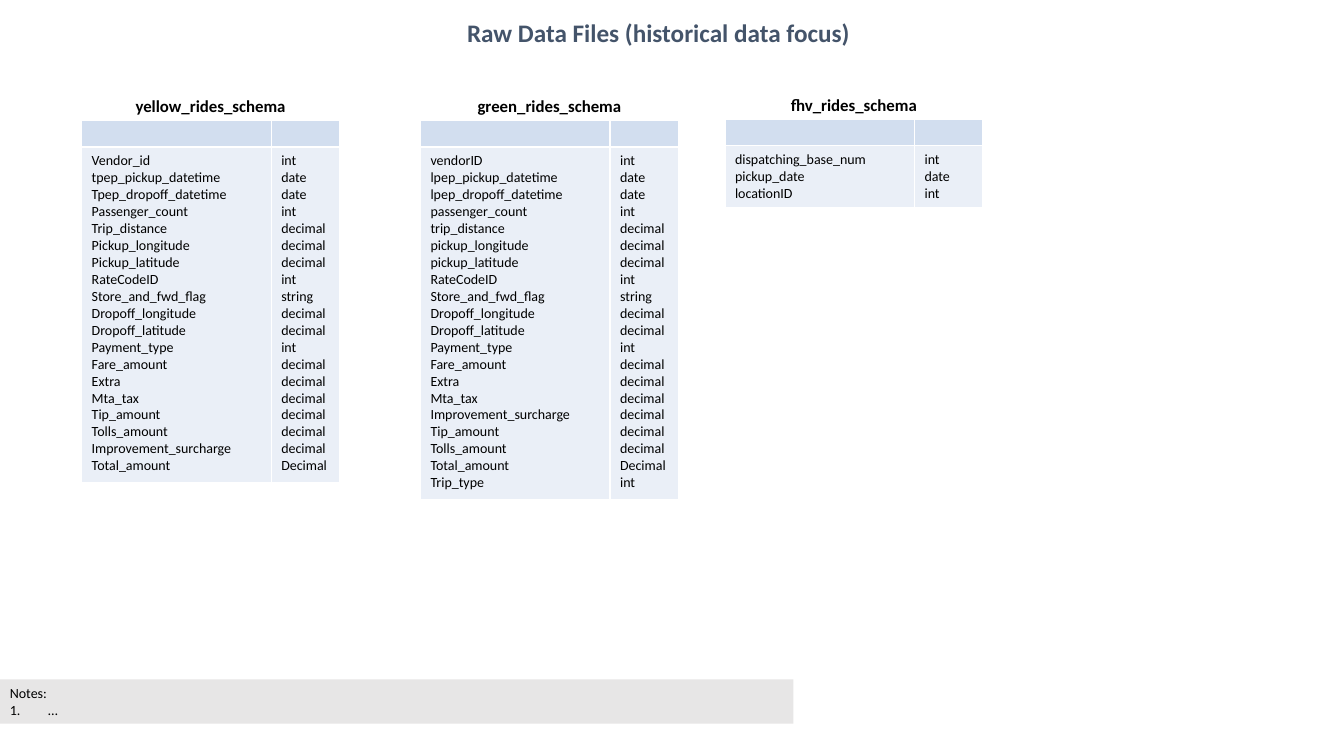
from dataclasses import dataclass

from lxml.etree import SubElement
from pptx import Presentation
from pptx.dml.color import RGBColor
from pptx.enum.shapes import MSO_SHAPE
from pptx.enum.text import MSO_ANCHOR, PP_ALIGN
from pptx.oxml import parse_xml
from pptx.oxml.ns import nsdecls, qn
from pptx.util import Inches, Pt


@dataclass(frozen=True)
class Theme:
    font: str = "Calibri"
    ink: str = "000000"
    title: str = "44546A"
    head: str = "D2DEEF"
    body: str = "EAEFF7"
    note: str = "E7E6E6"
    rule: str = "FFFFFF"
    big: int = 18
    mid: int = 12
    small: int = 10


THEME = Theme()
COLS = (1.88, 0.68)
HEAD = 0.26
LINE = 0.17
LABEL = 0.3

START = """Vendor_id int
tpep_pickup_datetime date
Tpep_dropoff_datetime date
Passenger_count int
Trip_distance decimal
Pickup_longitude decimal
Pickup_latitude decimal"""

GREEN_START = """vendorID int
lpep_pickup_datetime date
lpep_dropoff_datetime date
passenger_count int
trip_distance decimal
pickup_longitude decimal
pickup_latitude decimal"""

SHARED = """RateCodeID int
Store_and_fwd_flag string
Dropoff_longitude decimal
Dropoff_latitude decimal
Payment_type int
Fare_amount decimal
Extra decimal
Mta_tax decimal"""

YELLOW_END = """Tip_amount decimal
Tolls_amount decimal
Improvement_surcharge decimal
Total_amount Decimal"""

GREEN_END = """Improvement_surcharge decimal
Tip_amount decimal
Tolls_amount decimal
Total_amount Decimal
Trip_type int"""

FHV = """dispatching_base_num int
pickup_date date
locationID int"""

# name, left, top, fields
SCHEMAS = (
    ("yellow_rides_schema", 0.81, 0.9, (START, SHARED, YELLOW_END)),
    ("green_rides_schema", 4.17, 0.9, (GREEN_START, SHARED, GREEN_END)),
    ("fhv_rides_schema", 7.19, 0.89, (FHV,)),
)


def write(frame, lines, size, color=THEME.ink, bold=False, align=PP_ALIGN.LEFT):
    frame.word_wrap = True
    frame.text = "\n".join(lines)
    for para in frame.paragraphs:
        para.alignment = align
        para.font.name = THEME.font
        para.font.size = Pt(size)
        para.font.bold = bold
        para.font.color.rgb = RGBColor.from_string(color)


def add_label(slide, box, text, size, color=THEME.ink):
    shape = slide.shapes.add_textbox(*map(Inches, box))
    write(shape.text_frame, [text], size, color, True, PP_ALIGN.CENTER)


def style_cell(cell, lines, fill):
    write(cell.text_frame, lines, THEME.small)
    props = cell._tc.get_or_add_tcPr()
    for side in ("lnL", "lnR", "lnT", "lnB"):
        props.append(parse_xml(
            f'<a:{side} {nsdecls("a")} w="{Pt(1)}"><a:solidFill>'
            f'<a:srgbClr val="{THEME.rule}"/></a:solidFill></a:{side}>'))
    cell.fill.solid()
    cell.fill.fore_color.rgb = RGBColor.from_string(fill)


def add_schema(slide, name, left, top, parts):
    """Place a schema's name and, below it, its table of fields and types."""
    fields = [row.split() for part in parts for row in part.splitlines()]
    width = sum(COLS)
    add_label(slide, (left, top, width, LABEL), name, THEME.mid)
    heights = (HEAD, 0.1 + LINE * len(fields))
    box = (left, top + LABEL - 0.01, width, sum(heights))
    table = slide.shapes.add_table(2, 2, *map(Inches, box)).table
    table.first_row = table.horz_banding = False
    for row, height in zip(table.rows, heights):
        row.height = Inches(height)
    for i, (wide, lines) in enumerate(zip(COLS, zip(*fields))):
        table.columns[i].width = Inches(wide)
        style_cell(table.cell(0, i), [""], THEME.head)
        style_cell(table.cell(1, i), lines, THEME.body)


def add_notes(slide, box):
    bar = slide.shapes.add_shape(MSO_SHAPE.RECTANGLE, *map(Inches, box))
    bar.shadow.inherit = False
    bar.fill.solid()
    bar.fill.fore_color.rgb = RGBColor.from_string(THEME.note)
    bar.line.fill.background()
    frame = bar.text_frame
    frame.vertical_anchor = MSO_ANCHOR.TOP
    write(frame, ["Notes:", "…"], THEME.small)
    props = frame.paragraphs[1]._p.get_or_add_pPr()
    props.set("marL", str(Inches(0.38)))
    props.set("indent", str(Inches(-0.38)))
    mark = SubElement(props, qn("a:buAutoNum"), type="arabicPeriod")
    props.find(qn("a:defRPr")).addprevious(mark)


def main():
    deck = Presentation()
    deck.slide_width, deck.slide_height = Inches(13.33), Inches(7.5)
    slide = deck.slides.add_slide(deck.slide_layouts[6])
    add_label(slide, (1.92, 0.12, 9.22, 0.4),
              "Raw Data Files (historical data focus)", THEME.big, THEME.title)
    for schema in SCHEMAS:
        add_schema(slide, *schema)
    add_notes(slide, (0, 6.74, 7.87, 0.44))
    deck.save("out.pptx")


if __name__ == "__main__":
    main()
